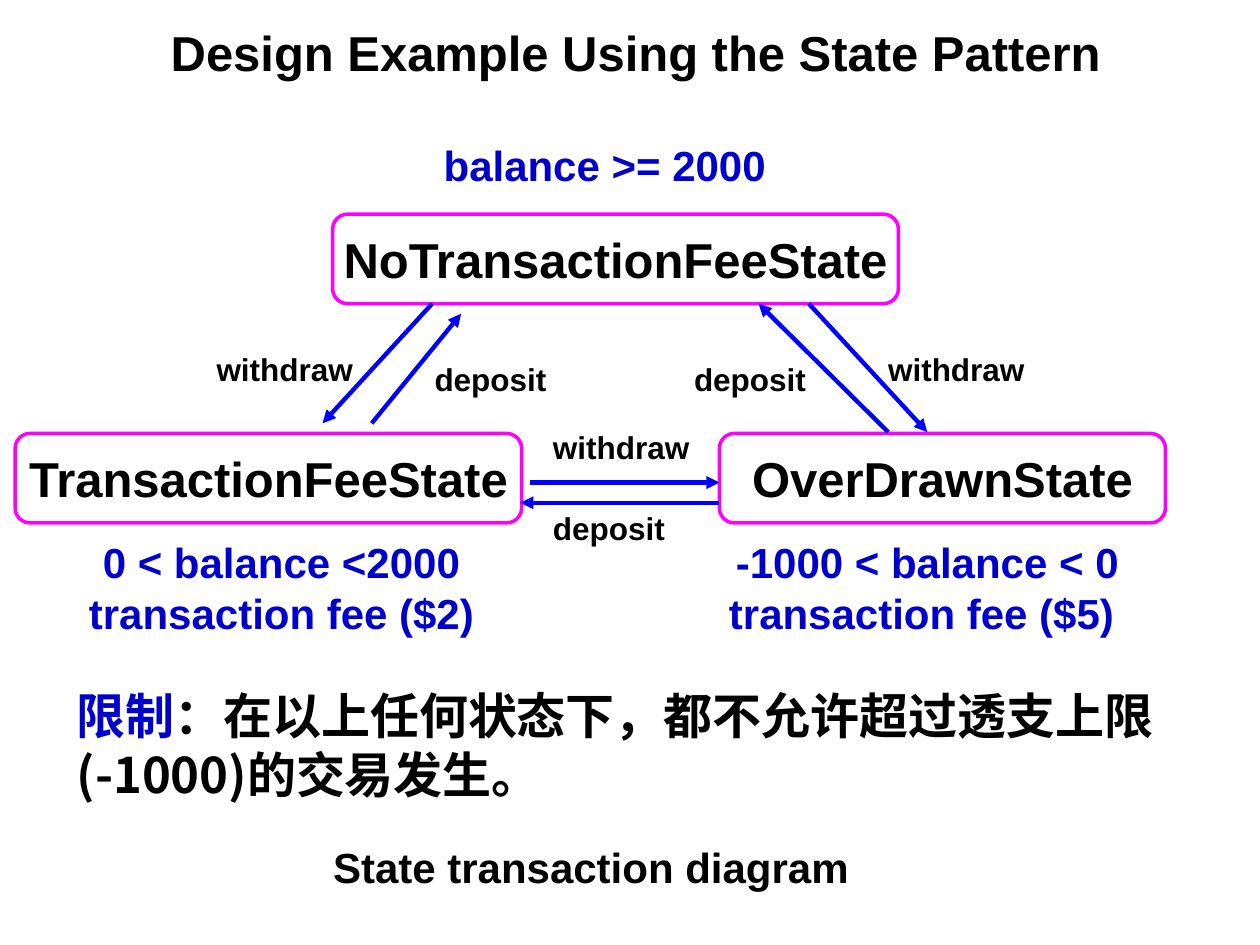
from dataclasses import dataclass

import pptx
import pptx.dml.color
import pptx.enum.shapes
import pptx.enum.text
import pptx.oxml
import pptx.oxml.ns
import pptx.util

RGBColor = pptx.dml.color.RGBColor
Align = pptx.enum.text.PP_ALIGN
Anchor = pptx.enum.text.MSO_ANCHOR
Shape = pptx.enum.shapes.MSO_SHAPE

BLACK = RGBColor(0x00, 0x00, 0x00)
WHITE = RGBColor(0xFF, 0xFF, 0xFF)
MAGENTA = RGBColor(0xFF, 0x00, 0xFF)
BLUE = RGBColor(0x00, 0x00, 0xFF)
NAVY = RGBColor(0x00, 0x00, 0xCC)

LATIN_FONT = "Arial"
CHINESE_FONT = "Noto Sans CJK SC"
EMU_PER_PX = 9144
STATE_HEIGHT = 71
LABEL_HEIGHT = 40


@dataclass(frozen=True)
class State:
    name: str
    left: int
    top: int
    width: int


@dataclass(frozen=True)
class Condition:
    text: str
    left: int
    top: int
    width: int
    height: int


@dataclass(frozen=True)
class Transition:
    action: str
    label_left: int
    label_top: int
    start: tuple[int, int]
    end: tuple[int, int]


STATES = [
    State("NoTransactionFeeState", 264, 170, 449),
    State("TransactionFeeState", 12, 344, 402),
    State("OverDrawnState", 571, 344, 354),
]
CONDITIONS = [
    Condition("balance >= 2000", 287, 106, 386, 50),
    Condition("-1000 < balance < 0\ntransaction fee ($5) ", 539, 421, 394, 90),
    Condition("0 < balance <2000 \ntransaction fee ($2) ", 27, 421, 402, 90),
]
TRANSITIONS = [
    Transition("withdraw", 162, 273, (343, 241), (256, 336)),
    Transition("deposit", 335, 281, (295, 336), (366, 249)),
    Transition("withdraw", 429, 335, (421, 383), (571, 383)),
    Transition("deposit", 429, 399, (571, 399), (413, 399)),
    Transition("deposit", 541, 281, (705, 343), (602, 241)),
    Transition("withdraw", 695, 273, (642, 241), (736, 343)),
]
LABEL_WIDTHS = {"withdraw": 128, "deposit": 109}


def px(length: int) -> pptx.util.Emu:
    return pptx.util.Emu(length * EMU_PER_PX)


def format_run(run, size: int, color: RGBColor, font: str = LATIN_FONT) -> None:
    run.font.name = font
    run.font.size = pptx.util.Pt(size)
    run.font.bold = True
    run.font.color.rgb = color
    properties = run._r.get_or_add_rPr()
    east_asian = properties.makeelement(pptx.oxml.ns.qn("a:ea"), {"typeface": font})
    properties.append(east_asian)


def write(frame, text: str, size: int, color: RGBColor,
          align: Align = Align.CENTER, anchor: Anchor = Anchor.TOP,
          wrap: bool = True) -> None:
    frame.text = text
    frame.word_wrap = wrap
    frame.vertical_anchor = anchor
    for paragraph in frame.paragraphs:
        paragraph.alignment = align
        for run in paragraph.runs:
            format_run(run, size, color)


def add_title(slide, text: str) -> None:
    title = slide.shapes.title
    title.left, title.top, title.width, title.height = map(px, (83, 13, 843, 57))
    write(title.text_frame, text, 28, BLACK)
    title.text_frame.auto_size = pptx.enum.text.MSO_AUTO_SIZE.NONE
    title.text_frame.paragraphs[0].space_before = pptx.util.Pt(0)


def add_state(slide, state: State) -> None:
    box = slide.shapes.add_shape(
        Shape.ROUNDED_RECTANGLE,
        px(state.left), px(state.top), px(state.width), px(STATE_HEIGHT))
    box.shadow.inherit = False
    box.fill.solid()
    box.fill.fore_color.rgb = WHITE
    box.line.color.rgb = MAGENTA
    box.line.width = pptx.util.Pt(2)
    write(box.text_frame, state.name, 28, BLACK, anchor=Anchor.MIDDLE, wrap=False)


def add_condition(slide, condition: Condition) -> None:
    box = slide.shapes.add_shape(
        Shape.RECTANGLE, px(condition.left), px(condition.top),
        px(condition.width), px(condition.height))
    box.shadow.inherit = False
    box.fill.solid()
    box.fill.fore_color.rgb = WHITE
    box.line.fill.background()
    write(box.text_frame, condition.text, 24, NAVY)


def add_arrow(slide, transition: Transition) -> None:
    arrow = slide.shapes.add_connector(
        pptx.enum.shapes.MSO_CONNECTOR.STRAIGHT,
        *map(px, transition.start + transition.end))
    arrow.line.color.rgb = BLUE
    arrow.line.width = pptx.util.Pt(2.5)
    line = arrow.line._get_or_add_ln()
    line.append(line.makeelement(pptx.oxml.ns.qn("a:tailEnd"), {"type": "triangle"}))
    properties = arrow._element.spPr
    properties.append(properties.makeelement(pptx.oxml.ns.qn("a:effectLst"), {}))


def add_action(slide, transition: Transition) -> None:
    label = slide.shapes.add_textbox(
        px(transition.label_left), px(transition.label_top),
        px(LABEL_WIDTHS[transition.action]), px(LABEL_HEIGHT))
    write(label.text_frame, transition.action, 18, BLACK, Align.LEFT, wrap=False)


def add_constraint(slide) -> None:
    constraint = slide.shapes.add_textbox(px(51), px(539), px(890), px(104))
    constraint.text_frame.word_wrap = True
    paragraph = constraint.text_frame.paragraphs[0]
    for text, color in [
        ("限制", NAVY),
        ("：在以上任何状态下，都不允许超过透支上限(-1000)的交易发生。", BLACK),
    ]:
        run = paragraph.add_run()
        run.text = text
        format_run(run, 28, color, CHINESE_FONT)


def main() -> None:
    presentation = pptx.Presentation()
    presentation.slide_width = px(1000)
    presentation.slide_height = px(750)
    slide = presentation.slides.add_slide(presentation.slide_layouts[5])

    add_title(slide, "Design Example Using the State Pattern")
    for state in STATES:
        add_state(slide, state)
    for transition in TRANSITIONS:
        add_arrow(slide, transition)
    for condition in CONDITIONS:
        add_condition(slide, condition)
    for transition in TRANSITIONS:
        add_action(slide, transition)
    add_constraint(slide)
    caption = slide.shapes.add_textbox(px(248), px(663), px(442), px(67))
    write(caption.text_frame, "State transaction diagram", 24, BLACK)

    presentation.save("out.pptx")


if __name__ == "__main__":
    main()
